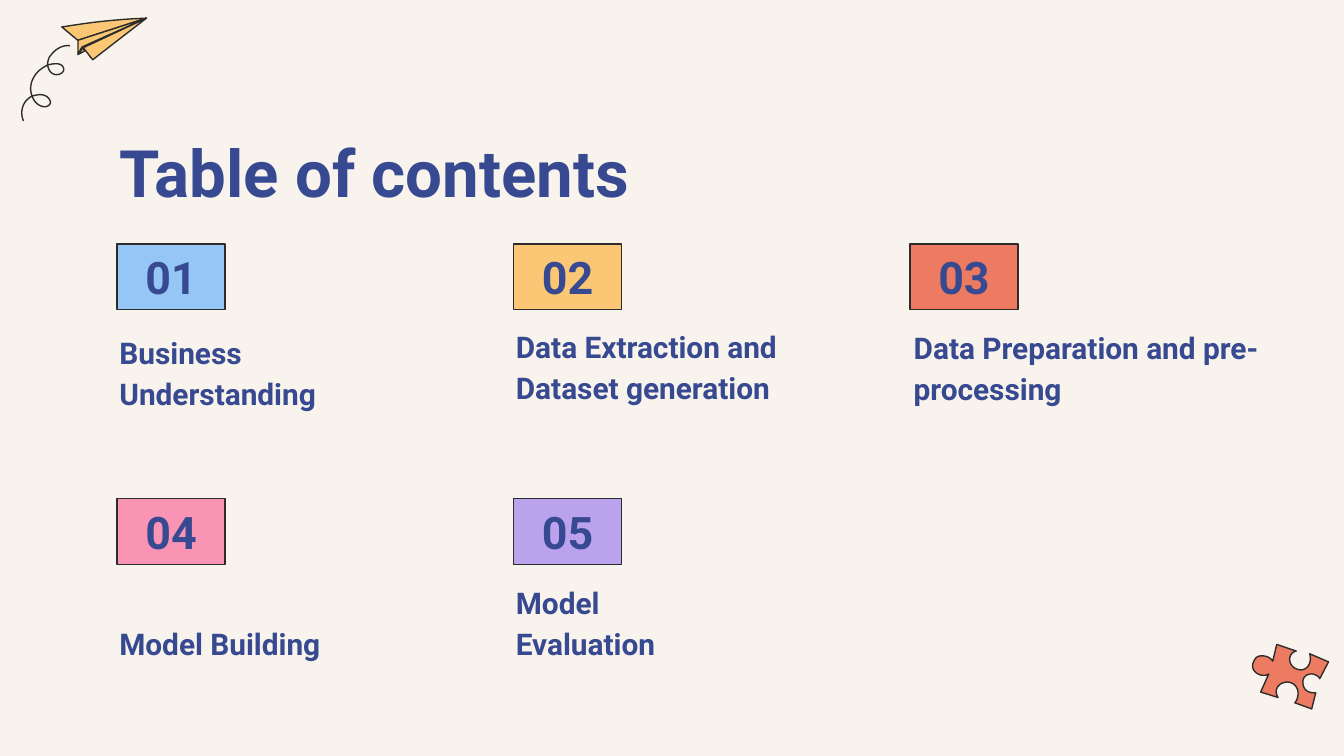
from pptx import Presentation
from pptx.dml.color import RGBColor
from pptx.enum.shapes import MSO_SHAPE as Shape
from pptx.enum.text import MSO_ANCHOR as Anchor, MSO_AUTO_SIZE as AutoSize, PP_ALIGN as Align
from pptx.util import Pt

PX = 4572
CURVE_STEPS = 12
NAVY, INK, CREAM = "374990", "2C2C2C", "F8F3EC"
BLUE, YELLOW, CORAL, PINK, PURPLE = "96C6F6", "FBC775", "ED7B61", "F994B4", "BBA2ED"
color = RGBColor.from_string


def write(shape, text, size, anchor, align=Align.LEFT, spacing=None):
    frame = shape.text_frame
    frame.text = text
    frame.word_wrap = True
    frame.auto_size = AutoSize.NONE
    frame.vertical_anchor = anchor
    frame.margin_left = frame.margin_right = 20 * PX
    frame.margin_top = frame.margin_bottom = 20 * PX
    for paragraph in frame.paragraphs:
        paragraph.alignment = align
        paragraph.line_spacing = spacing
        paragraph.font.name = "Roboto"
        paragraph.font.size = Pt(size)
        paragraph.font.bold = True
        paragraph.font.color.rgb = color(NAVY)


def draw(start, segments, fill=None):
    points = [start]
    for segment in segments:
        if len(segment) == 2:
            points.append(segment)
            continue
        x0, y0 = points[-1]
        x1, y1, x2, y2, x3, y3 = segment
        for step in range(1, CURVE_STEPS + 1):
            t = step / CURVE_STEPS
            u = 1 - t
            a, b, c, d = u**3, 3 * u * u * t, 3 * u * t * t, t**3
            points.append((a * x0 + b * x1 + c * x2 + d * x3,
                           a * y0 + b * y1 + c * y2 + d * y3))
    emu = [(round(x * PX), round(y * PX)) for x, y in points]
    builder = slide.shapes.build_freeform(*emu[0])
    builder.add_line_segments(emu[1:], close=fill is not None)
    outline = builder.convert_to_shape()
    outline.shadow.inherit = False
    outline.line.color.rgb = color(INK)
    outline.line.width = Pt(0.75)
    if fill:
        outline.fill.solid()
        outline.fill.fore_color.rgb = color(fill)
    else:
        outline.fill.background()


deck = Presentation()
deck.slide_width, deck.slide_height = 2000 * PX, 1125 * PX
slide = deck.slides.add_slide(deck.slide_layouts[5])
slide.background.fill.solid()
slide.background.fill.fore_color.rgb = color(CREAM)

draw((104, 68), [
    (92, 67, 82, 74, 76, 82), (72, 86, 71, 92, 71, 97),
    (72, 104, 76, 110, 82, 111), (88, 112, 94, 109, 95, 104),
    (95, 98, 90, 95, 84, 95), (78, 95, 74, 96, 71, 97),
    (60, 102, 52, 110, 48, 120), (45, 128, 45, 136, 48, 143),
    (50, 150, 56, 158, 66, 159), (72, 159, 76, 155, 75, 151),
    (73, 144, 66, 141, 60, 141), (56, 141, 52, 142, 48, 143),
    (34, 150, 29, 166, 35, 180),
])
plane_folds = [
    [(92, 40), (110, 38, 146, 30, 218, 27), (116, 60)],
    [(116, 60), (218, 27), (122, 70), (116, 81)],
    [(116, 81), (124, 71), (126, 76)],
    [(124, 71), (218, 27), (178, 58), (138, 89)],
]
for corner, *edges in plane_folds:
    draw(corner, edges, YELLOW)

draw((1900, 959), [
    (1894, 984), (1890, 978, 1884, 976, 1878, 976),
    (1872, 976, 1868, 978, 1865, 986), (1861, 996, 1870, 1005, 1880, 1005),
    (1882, 1005, 1886, 1005, 1888, 1003), (1876, 1030), (1902, 1038),
    (1894, 1026, 1904, 1015, 1916, 1015), (1932, 1016, 1936, 1034, 1927, 1046),
    (1952, 1055), (1958, 1031), (1944, 1032, 1938, 1024, 1939, 1013),
    (1940, 1006, 1946, 1003, 1952, 1003), (1956, 1003, 1962, 1006, 1964, 1010),
    (1977, 985), (1949, 973), (1952, 984, 1948, 996, 1936, 997),
    (1916, 996, 1914, 972, 1929, 969),
], CORAL)

title = slide.shapes.title
title.left, title.top, title.width, title.height = 158 * PX, 177 * PX, 1686 * PX, 126 * PX
write(title, "Table of contents", 35, Anchor.TOP)

sections = [
    ("Business\nUnderstanding", BLUE, 158, 427, 536, 206),
    ("Data Extraction and Dataset generation", YELLOW, 748, 418, 536, 206),
    ("Data Preparation and pre-processing", CORAL, 1340, 449, 642, 176),
    ("Model Building", PINK, 158, 839, 346, 166),
    ("Model\nEvaluation", PURPLE, 748, 887, 504, 118),
]
for index, (topic, fill, left, top, width, height) in enumerate(sections):
    row, column = divmod(index, 3)
    number = slide.shapes.add_shape(
        Shape.RECTANGLE, (174 + 590 * column) * PX, (363 + 379 * row) * PX, 161 * PX, 98 * PX)
    number.shadow.inherit = False
    number.fill.solid()
    number.fill.fore_color.rgb = color(fill)
    number.line.color.rgb = color(INK)
    number.line.width = Pt(0.75)
    write(number, f"{index + 1:02}", 24, Anchor.MIDDLE, Align.CENTER)

    label = slide.shapes.add_textbox(left * PX, top * PX, width * PX, height * PX)
    write(label, topic, 16, Anchor.BOTTOM, spacing=1.15)

deck.save("out.pptx")
